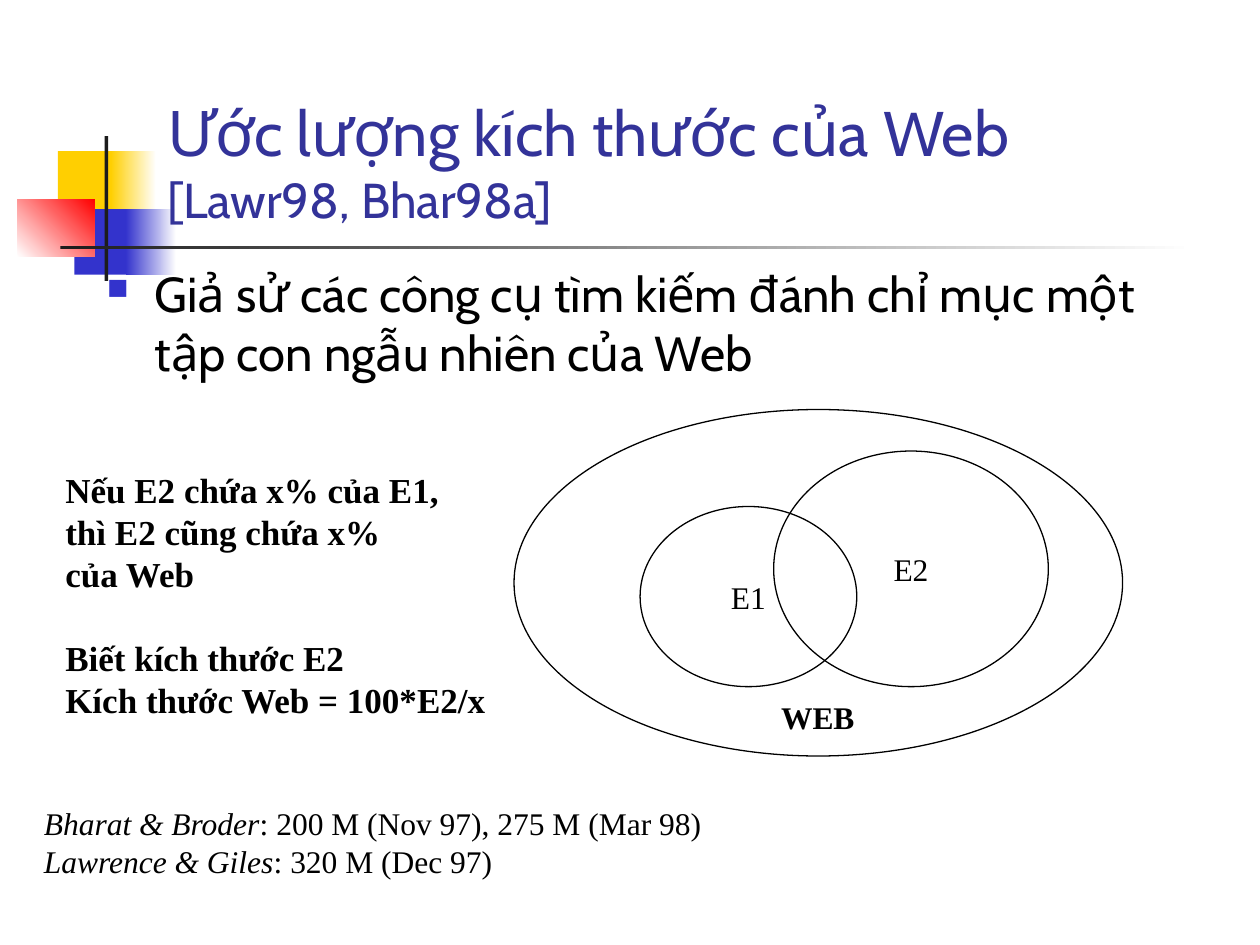
from lxml import etree
from pptx import Presentation
from pptx import util as u
from pptx.dml.color import RGBColor
from pptx.enum import shapes, text
from pptx.oxml.ns import qn

SERIF, SANS = "Times New Roman", "Cabin"
BLACK, BLUE, YELLOW, WHITE = "000000", "3333CC", "FFCF01", "FFFFFF"
rgb = RGBColor.from_string

prs = Presentation()
prs.slide_width, prs.slide_height = u.Inches(10), u.Inches(7.5)
slide = prs.slides.add_slide(prs.slide_layouts[6])


def write(frame, lines, size, color=BLACK, font=SERIF, wrap=True):
    """Fill a text frame with one paragraph per line, all in one style."""
    frame.text = "\n".join(lines)
    frame.word_wrap = wrap
    for paragraph in frame.paragraphs:
        for run in paragraph.runs:
            run.font.size = u.Pt(size)
            run.font.name = font
            run.font.color.rgb = rgb(color)
    return frame.paragraphs


def add_text(left, top, width, height, lines, size, **style):
    frame = slide.shapes.add_textbox(*map(u.Inches, (left, top, width, height))).text_frame
    return frame, write(frame, lines, size, **style)


# Corner ornament: solid blocks, fading blocks and the two rules
ornament = [
    (0.46, 1.2, 0.48, 0.52, [YELLOW], 0),
    (0.88, 1.2, 0.36, 0.52, [YELLOW, WHITE], 0),
    (0.59, 1.66, 0.46, 0.52, [BLUE], 0),
    (1, 1.66, 0.4, 0.52, [BLUE, WHITE], 0),
    (0.14, 1.58, 0.61, 0.46, [WHITE, "FF0000"], 45),
    (0.83, 1.08, 0.03, 1.15, ["1C1C1C"], 0),
    (0.48, 1.95, 9, 0.03, ["1C1C1C", WHITE], 0),
]
for *place, colors, angle in ornament:
    block = slide.shapes.add_shape(shapes.MSO_SHAPE.RECTANGLE, *map(u.Inches, place))
    block.shadow.inherit = False
    block.line.fill.background()
    if len(colors) == 1:
        block.fill.solid()
        block.fill.fore_color.rgb = rgb(colors[0])
    else:
        block.fill.gradient()
        block.fill.gradient_angle = angle
        for position, (stop, color) in enumerate(zip(block.fill.gradient_stops, colors)):
            stop.position = position
            stop.color.rgb = rgb(color)

# Title
title_frame, (title,) = add_text(
    1.23, 0.61, 8.5, 1.25, ["Ước lượng kích thước của Web\v[Lawr98, Bhar98a]"],
    36, color="333399", font=SANS)
title_frame.vertical_anchor = text.MSO_ANCHOR.BOTTOM
title.runs[1].font.size = u.Pt(28)

# Bulleted assumption
_, (assumption,) = add_text(
    0.75, 2.04, 8.83, 4.38,
    ["Giả sử các công cụ tìm kiếm đánh chỉ mục một tập con ngẫu nhiên của Web"],
    28, font=SANS)
properties = assumption._p.get_or_add_pPr()
properties.set("marL", str(u.Inches(0.38)))
properties.set("indent", str(-u.Inches(0.38)))
bullet_color = etree.SubElement(properties, qn("a:buClr"))
etree.SubElement(bullet_color, qn("a:srgbClr"), val=BLUE)
etree.SubElement(properties, qn("a:buSzPct"), val="60000")
etree.SubElement(properties, qn("a:buChar"), char="■")

# Reasoning, with a line's gap before the conclusion
_, reasoning = add_text(
    0.42, 3.67, 3.56, 2.12,
    ["Nếu E2 chứa x% của E1,", "thì E2 cũng chứa x%", "của Web",
     "Biết kích thước E2", "Kích thước Web = 100*E2/x"], 20)
for paragraph in reasoning:
    paragraph.line_spacing = u.Pt(24)
    paragraph.runs[0].font.bold = True
reasoning[3].space_before = u.Pt(24)

# Venn diagram
venn = [
    (4.08, 3.25, 4.83, 2.75, "", None),
    (5.08, 4.02, 1.72, 1.43, "E1", WHITE),
    (6.14, 3.58, 2.18, 1.87, "E2", None),
]
for *place, label, fill in venn:
    circle = slide.shapes.add_shape(shapes.MSO_SHAPE.OVAL, *map(u.Inches, place))
    circle.shadow.inherit = False
    circle.line.color.rgb = rgb(BLACK)
    circle.line.width = u.Pt(0.75)
    if fill:
        circle.fill.solid()
        circle.fill.fore_color.rgb = rgb(fill)
    else:
        circle.fill.background()
    if label:
        write(circle.text_frame, [label], 18, wrap=False)
        circle.text_frame.vertical_anchor = text.MSO_ANCHOR.MIDDLE
        circle.text_frame.paragraphs[0].alignment = text.PP_ALIGN.CENTER

_, (web,) = add_text(6.1, 5.49, 0.98, 0.5, ["WEB"], 18)
web.runs[0].font.bold = True

# Published estimates
estimates = [
    ("Bharat & Broder", ": 200 M (Nov 97), 275 M (Mar 98)"),
    ("Lawrence & Giles", ": 320 M (Dec 97)"),
]
_, estimate_lines = add_text(
    0.25, 6.33, 7.26, 0.9, [authors for authors, _ in estimates], 18)
for paragraph, (_, figures) in zip(estimate_lines, estimates):
    paragraph.line_spacing = u.Pt(21.6)
    paragraph.runs[0].font.italic = True
    sizes = paragraph.add_run()
    sizes.text = figures
    sizes.font.size = u.Pt(18)
    sizes.font.name = SERIF
    sizes.font.color.rgb = rgb(BLACK)

prs.save("out.pptx")
